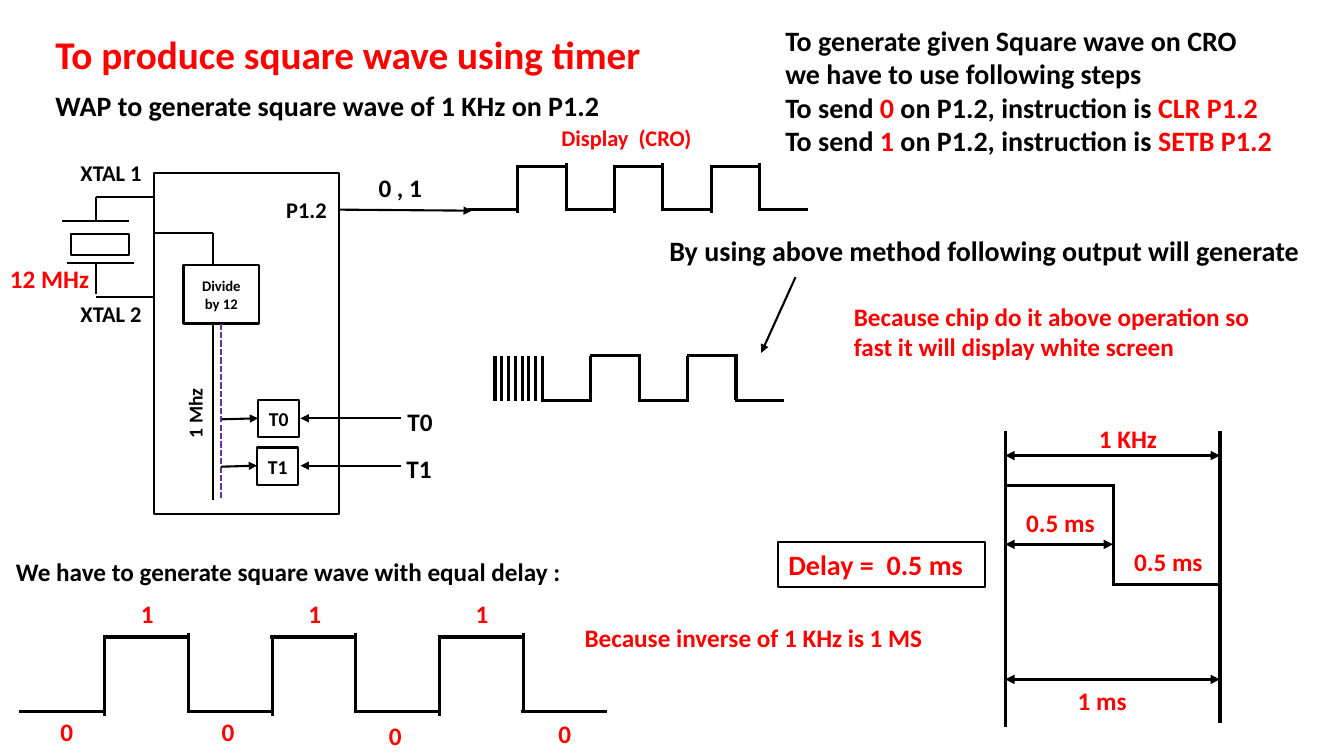
from lxml import etree
from pptx import Presentation
from pptx.dml.color import RGBColor
from pptx.enum.dml import MSO_LINE
from pptx.enum.shapes import MSO_CONNECTOR, MSO_SHAPE
from pptx.enum.text import MSO_ANCHOR, MSO_AUTO_SIZE, PP_ALIGN
from pptx.oxml.ns import qn
from pptx.util import Inches, Pt

STRAIGHT = MSO_CONNECTOR.STRAIGHT
RECTANGLE = MSO_SHAPE.RECTANGLE
LEFT, CENTER = PP_ALIGN.LEFT, PP_ALIGN.CENTER
TOP, MIDDLE = MSO_ANCHOR.TOP, MSO_ANCHOR.MIDDLE
NO_FIT = MSO_AUTO_SIZE.NONE
SHORT_DASH = MSO_LINE.SQUARE_DOT
COLORS = {"black": "000000", "red": "FF0000", "purple": "7030A0"}
FONT = "Calibri"
COLUMNS, ROWS = 13.33, 7.5
CELL = Inches(1)
THIN, THICK = 1.5, 2.25
TITLE_LAYOUT = 5


def grid(*cells):
    """Turn grid columns and rows into slide lengths."""
    return [round(cell * CELL) for cell in cells]


def rgb(name):
    """Look up a colour by its name."""
    return RGBColor.from_string(COLORS[name])


def write(frame, paragraphs, align=LEFT, anchor=TOP, wrap=True):
    """Fill a text frame with paragraphs made of (text, size, colour) runs."""
    frame.auto_size = NO_FIT
    frame.word_wrap = wrap
    frame.vertical_anchor = anchor
    for index, runs in enumerate(paragraphs):
        paragraph = frame.add_paragraph() if index else frame.paragraphs[0]
        paragraph.alignment = align
        for text, size, color in runs:
            run = paragraph.add_run()
            run.text = text
            run.font.name = FONT
            run.font.size = Pt(size)
            run.font.bold = True
            run.font.color.rgb = rgb(color)


def add_label(slide, place, text, size=18, color="red", align=LEFT, wrap=True):
    """Add a one-run text box and return it."""
    box = slide.shapes.add_textbox(*grid(*place))
    write(box.text_frame, [[(text, size, color)]], align, wrap=wrap)
    return box


def add_box(slide, place, text="", size=14, color="black", align=CENTER, anchor=MIDDLE):
    """Add an outlined rectangle, with text if there is any."""
    shape = slide.shapes.add_shape(RECTANGLE, *grid(*place))
    shape.shadow.inherit = False
    shape.fill.background()
    shape.line.color.rgb = rgb("black")
    shape.line.width = Pt(THIN)
    if text:
        write(shape.text_frame, [[(text, size, color)]], align, anchor)


def add_line(slide, ends, width=THIN, color="black", arrows=(), dash=None):
    """Add a straight line with arrowheads at the named ends."""
    connector = slide.shapes.add_connector(STRAIGHT, *grid(*ends))
    connector.line.color.rgb = rgb(color)
    connector.line.width = Pt(width)
    if dash:
        connector.line.dash_style = dash
    outline = connector.line._get_or_add_ln()
    for end in arrows:
        etree.SubElement(outline, qn(f"a:{end}"), type="triangle")
    etree.SubElement(connector._element.spPr, qn("a:effectLst"))


def add_wave(slide, left, high, low, half, pulses, lap):
    """Draw a square wave that starts and ends low."""
    for step in range(2 * pulses + 1):
        start = left + step * half
        level = high if step % 2 else low
        add_line(slide, (start, level, start + half + lap / 2, level), THICK)
        if step:
            edge = start + lap / 2
            above, below = (0, lap) if step % 2 else (lap, 0)
            add_line(slide, (edge, high - above, edge, low + below), THICK)


def add_heading(slide):
    """Write the title with the task below it."""
    title = slide.shapes.title
    title.left, title.top, title.width, title.height = grid(0.45, 0.25, 6.21, 1.04)
    write(title.text_frame, [
        [("To produce square wave using timer", 28, "red")],
        [("WAP to generate square wave of 1 KHz on P1.2", 20, "black"), (" ", 28, "red")],
    ])


def add_steps(slide):
    """List the instructions that send each level."""
    paragraphs = [[("To generate given Square wave on CRO we have to use following steps",
                    20, "black")]]
    for bit, instruction in (("0", "CLR P1.2"), ("1", "SETB P1.2")):
        paragraphs.append([("To send ", 20, "black"), (bit, 20, "red"),
                           (" on P1.2, instruction is ", 20, "black"),
                           (instruction, 20, "red")])
    box = slide.shapes.add_textbox(*grid(7.69, 0.18, 5.05, 1.45))
    write(box.text_frame, paragraphs)


def add_controller(slide):
    """Draw the controller with its crystal, divider and timers."""
    add_box(slide, (1.53, 1.72, 1.83, 3.38))
    add_box(slide, (0.7, 2.32, 0.58, 0.21))
    add_box(slide, (1.82, 2.63, 0.75, 0.58), "Divide by 12", 10.5)
    for ends in ((0.66, 2.61, 1.33, 2.61), (0.62, 2.19, 1.28, 2.19),
                 (0.95, 2.61, 0.95, 2.92), (0.95, 2.95, 1.53, 2.95),
                 (0.95, 1.95, 1.53, 1.95), (0.95, 1.95, 0.95, 2.19),
                 (1.53, 2.31, 2.11, 2.31), (2.11, 2.31, 2.11, 2.62),
                 (2.11, 3.21, 2.11, 4.96)):
        add_line(slide, ends)
    add_line(slide, (2.19, 3.21, 2.19, 4.96), color="purple", dash=SHORT_DASH)
    for name, left, level in (("T0", 2.56, 4.15), ("T1", 2.55, 4.62)):
        add_box(slide, (left, level - 0.18, 0.41, 0.37), name)
        add_line(slide, (left - 0.36, level + 0.01, left, level), arrows=["tailEnd"])
        add_line(slide, (3.98, level, 2.98, level), arrows=["tailEnd"])
        add_label(slide, (left + 1.38, level - 0.17, 0.45, 0.4), name, 18, "black",
                  CENTER, False)
    for text, left, top in (("XTAL 1", 0.7, 1.53), ("XTAL 2", 0.7, 2.93), ("P1.2", 2.74, 1.9)):
        add_label(slide, (left, top, 0.96, 0.37), text, 16, "black")
    clock = add_label(slide, (1.56, 3.9, 0.75, 0.34), "1 Mhz", 14, "black", wrap=False)
    clock.rotation = 270
    add_line(slide, (3.37, 2.08, 4.68, 2.09), arrows=["tailEnd"])
    add_label(slide, (3.65, 1.66, 0.64, 0.4), "0 , 1", 18, "black", CENTER, False)
    add_label(slide, (0, 2.56, 1.21, 0.4), "12 MHz")


def add_displays(slide):
    """Draw the expected wave and the one that is too fast to see."""
    add_wave(slide, 4.64, 1.65, 2.08, 0.48, 3, 0.03)
    add_label(slide, (5.47, 1.18, 3.46, 0.37), "Display  (CRO)", 16)
    add_label(slide, (6.54, 2.27, 7.57, 0.44),
              "By using above method following output will generate", 20, "black")
    add_line(slide, (7.89, 2.75, 7.55, 3.5), arrows=["tailEnd"])
    first, last, gaps = 4.91, 5.38, 7
    for bar in range(gaps + 1):
        place = first + bar * (last - first) / gaps
        add_line(slide, (place, 3.53, place, 3.98), THICK)
    add_wave(slide, 5.37, 3.53, 3.97, 0.48, 2, 0.02)
    add_label(slide, (8.37, 2.94, 4.12, 0.71),
              "Because chip do it above operation so fast it will display white screen")


def add_equal_delay(slide):
    """Draw the wave with its levels marked."""
    add_label(slide, (0.06, 5.47, 5.78, 0.4),
              "We have to generate square wave with equal delay :", 18, "black")
    add_wave(slide, 0.19, 6.32, 7.06, 0.83, 3, 0.04)
    for pulse in range(3):
        add_label(slide, (1.3 + pulse * 1.66, 5.89, 0.46, 0.4), "1")
    for left, top in ((0.5, 7.06), (2.1, 7.06), (3.76, 7.1), (5.44, 7.08)):
        add_label(slide, (left, top, 0.46, 0.4), "0")
    add_label(slide, (5.7, 6.12, 4.12, 0.4), "Because inverse of 1 KHz is 1 MS")


def add_period(slide):
    """Draw one period with its dimensions and the delay."""
    start, middle, end = 9.97, 11.04, 12.1
    for ends in ((start, 4.82, middle, 4.82), (middle, 5.8, end, 5.8),
                 (middle, 4.8, middle, 5.81), (start, 4.28, start, 7.21),
                 (end, 4.28, end, 7.17)):
        add_line(slide, ends, THICK)
    for right, level in ((end, 4.52), (middle, 5.4), (end, 6.74)):
        add_line(slide, (start, level, right, level), THICK, arrows=["headEnd", "tailEnd"])
    for text, left, top in (("1 KHz", 10.8, 4.15), ("0.5 ms", 10.08, 4.98),
                            ("0.5 ms", 11.15, 5.37), ("1 ms", 10.59, 6.75)):
        add_label(slide, (left, top, 0.96, 0.4), text)
    add_box(slide, (7.72, 5.38, 2.05, 0.44), "Delay =  0.5 ms", 20, "red", LEFT, TOP)


def main():
    """Build the slide and save it."""
    presentation = Presentation()
    presentation.slide_width, presentation.slide_height = grid(COLUMNS, ROWS)
    slide = presentation.slides.add_slide(presentation.slide_layouts[TITLE_LAYOUT])
    add_heading(slide)
    add_steps(slide)
    add_displays(slide)
    add_equal_delay(slide)
    add_controller(slide)
    add_period(slide)
    presentation.save("out.pptx")


if __name__ == "__main__":
    main()
